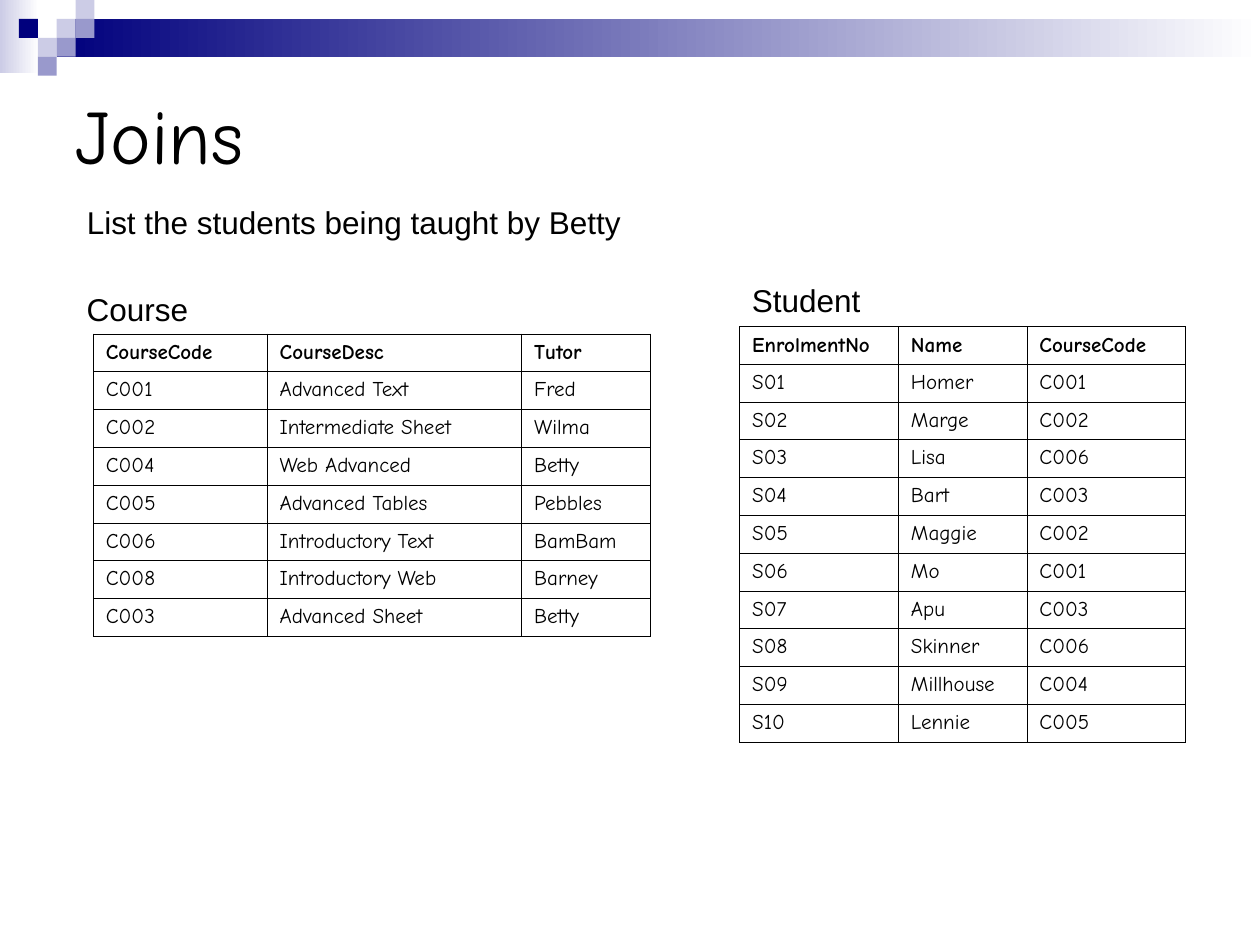
from typing import NamedTuple

from lxml.etree import SubElement as Sub
from pptx import Presentation
from pptx.dml.color import RGBColor as Rgb
from pptx.enum.shapes import MSO_SHAPE as Shape
from pptx.enum.text import MSO_ANCHOR as Anchor
from pptx.oxml.ns import qn
from pptx.util import Inches, Pt

BLACK, WHITE = "000000", "FFFFFF"
NAVY, MID, PALE = "00007D", "9999CC", "CCCCE6"
UNIT = 0.15  # side of one checker square
ROW = 0.3    # height of a table row


class Band(NamedTuple):
    left: float
    top: float
    width: float
    height: float
    start: str


class Square(NamedTuple):
    col: int
    row: int
    tone: str


class Label(NamedTuple):
    text: str
    left: float
    top: float
    width: float
    height: float
    size: int = 18
    face: str = "Arial"
    anchor: Anchor = Anchor.TOP
    pitch: float = 1.0


class Grid(NamedTuple):
    left: float
    top: float
    widths: tuple
    rows: str


BANDS = (
    Band(0, 0, 0.31, 0.58, PALE),
    Band(0.45, 0.15, 9.55, 0.3, NAVY),
)
SQUARES = (
    Square(3, 1, PALE), Square(4, 0, PALE), Square(4, 1, MID),
    Square(2, 2, PALE), Square(1, 1, NAVY), Square(3, 2, MID),
    Square(2, 3, MID),
)
LABELS = (
    Label("Joins", 0.5, 0.5, 9, 1.12, 44, "Comic Neue", Anchor.MIDDLE),
    Label("Course", 0.59, 2.25, 2.13, 0.4),
    Label("Student", 5.87, 2.18, 2.13, 0.4),
    Label("List the students being taught by Betty",
          0.59, 1.62, 4.88, 0.34, pitch=0.8),
)
COURSE = Grid(0.74, 2.65, (1.38, 2.02, 1.02), """\
CourseCode|CourseDesc|Tutor
C001|Advanced Text|Fred
C002|Intermediate Sheet|Wilma
C004|Web Advanced|Betty
C005|Advanced Tables|Pebbles
C006|Introductory Text|BamBam
C008|Introductory Web|Barney
C003|Advanced Sheet|Betty""")
STUDENT = Grid(5.87, 2.59, (1.26, 1.02, 1.26), """\
EnrolmentNo|Name|CourseCode
S01|Homer|C001
S02|Marge|C002
S03|Lisa|C006
S04|Bart|C003
S05|Maggie|C002
S06|Mo|C001
S07|Apu|C003
S08|Skinner|C006
S09|Millhouse|C004
S10|Lennie|C005""")


def tint(code: str) -> Rgb:
    return Rgb.from_string(code)


def style(font, **form) -> None:
    for key, value in form.items():
        setattr(font, key, value)
    font.color.rgb = tint(BLACK)


def add_rect(slide, *box: float):
    rect = slide.shapes.add_shape(Shape.RECTANGLE, *map(Inches, box))
    rect.shadow.inherit = False
    rect.line.fill.background()
    return rect


def draw_band(slide, band: Band) -> None:
    fill = add_rect(slide, *band[:4]).fill
    fill.gradient()
    fill.gradient_angle = 0
    for stop, code, place in zip(fill.gradient_stops, (band.start, WHITE), (0, 1)):
        stop.color.rgb = tint(code)
        stop.position = place


def draw_square(slide, sq: Square) -> None:
    rect = add_rect(slide, sq.col * UNIT, sq.row * UNIT, UNIT, UNIT)
    rect.fill.solid()
    rect.fill.fore_color.rgb = tint(sq.tone)


def draw_label(slide, label: Label) -> None:
    frame = slide.shapes.add_textbox(*map(Inches, label[1:5])).text_frame
    frame.word_wrap = True
    frame.vertical_anchor = label.anchor
    para = frame.paragraphs[0]
    para.line_spacing = label.pitch
    run = para.add_run()
    run.text = label.text
    style(run.font, size=Pt(label.size), name=label.face)


def add_edges(cell) -> None:
    props = cell._tc.get_or_add_tcPr()
    for side in "LRTB":
        edge = Sub(props, qn(f"a:ln{side}"), w=str(Pt(0.34)))
        Sub(Sub(edge, qn("a:solidFill")), qn("a:srgbClr"), val=BLACK)


def fill_cell(cell, text: str, head: bool) -> None:
    add_edges(cell)
    if head:
        cell.fill.background()
        cell.vertical_anchor = Anchor.MIDDLE
    else:
        cell.fill.solid()
        cell.fill.fore_color.rgb = tint(WHITE)
    para = cell.text_frame.paragraphs[0]
    props = para._p.get_or_add_pPr()
    props.set("marL", str(Inches(0.38)))
    props.set("indent", str(-Inches(0.38)))
    run = para.add_run()
    run.text = text
    style(run.font, size=Pt(12), name="Comic Neue", bold=head)


def draw_grid(slide, grid: Grid) -> None:
    rows = [line.split("|") for line in grid.rows.splitlines()]
    box = (grid.left, grid.top, sum(grid.widths), ROW * len(rows))
    table = slide.shapes.add_table(
        len(rows), len(grid.widths), *map(Inches, box)).table
    table.first_row = table.horz_banding = False
    for col, width in zip(table.columns, grid.widths):
        col.width = Inches(width)
    for r, row in enumerate(rows):
        table.rows[r].height = Inches(ROW)
        for c, text in enumerate(row):
            fill_cell(table.cell(r, c), text, r == 0)


def main() -> None:
    deck = Presentation()
    deck.slide_width, deck.slide_height = Inches(10), Inches(7.5)
    slide = deck.slides.add_slide(deck.slide_layouts[6])
    # Header decoration
    for band in BANDS:
        draw_band(slide, band)
    for sq in SQUARES:
        draw_square(slide, sq)
    # Tables
    for grid in (COURSE, STUDENT):
        draw_grid(slide, grid)
    # Title and captions
    for label in LABELS:
        draw_label(slide, label)
    deck.save("out.pptx")


if __name__ == "__main__":
    main()
